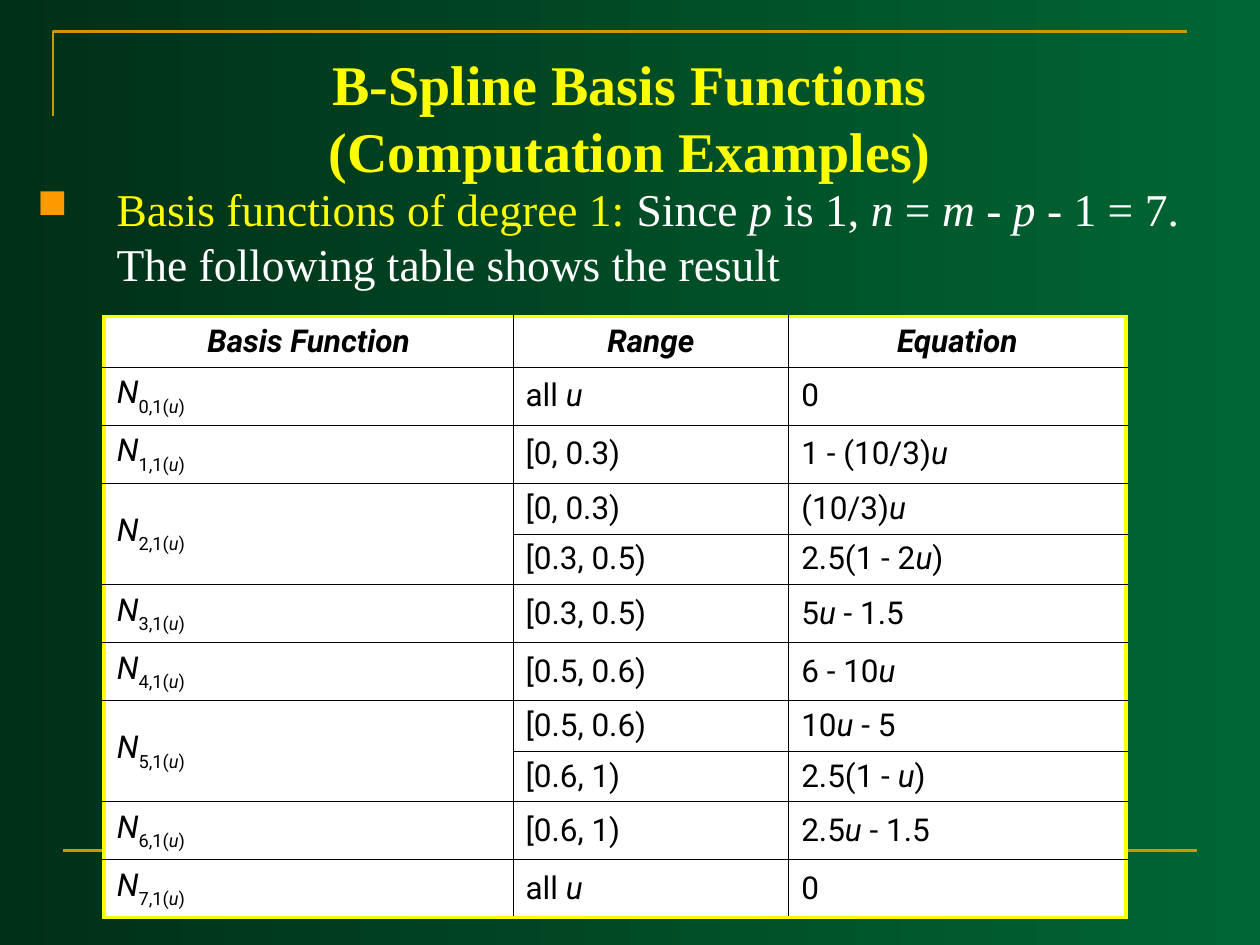
from lxml.etree import SubElement
from pptx import Presentation
from pptx.dml.color import RGBColor
from pptx.enum.shapes import MSO_CONNECTOR
from pptx.enum.text import MSO_ANCHOR, PP_ALIGN
from pptx.oxml.ns import qn
from pptx.util import Cm, Pt

SERIF, SANS = "Times New Roman", "Roboto"
GOLD, YELLOW, WHITE, BLACK = "CC9900", "FFFF00", "FFFFFF", "000000"
GROUPS = [
    [("all _u_", "0")],
    [("[0, 0.3)", "1 - (10/3)_u_")],
    [("[0, 0.3)", "(10/3)_u_"), ("[0.3, 0.5)", "2.5(1 - 2_u_)")],
    [("[0.3, 0.5)", "5_u_ - 1.5")],
    [("[0.5, 0.6)", "6 - 10_u_")],
    [("[0.5, 0.6)", "10_u_ - 5"), ("[0.6, 1)", "2.5(1 - _u_)")],
    [("[0.6, 1)", "2.5_u_ - 1.5")],
    [("all _u_", "0")],
]


def paint(target, color):
    target.rgb = RGBColor.from_string(color)


def style(run, face, size, color, bold=False, slant=False):
    font = run.font
    font.name, font.size, font.bold, font.italic = face, Pt(size), bold, slant
    paint(font.color, color)


def write(par, text, face, size, color, bold=False):
    for low, part in enumerate(text.split("~")):
        for odd, piece in enumerate(part.split("_")):
            if piece:
                run = par.add_run()
                run.text = piece
                style(run, face, size, color, bold, odd % 2 == 1)
                if low:
                    run.font._element.set("baseline", "-30000")


def hang(par, left):
    props = par._p.get_or_add_pPr()
    props.set("marL", str(Cm(left)))
    props.set("indent", str(-Cm(left)))
    return props


def add_box(slide, left, top, width, height):
    box = slide.shapes.add_textbox(Cm(left), Cm(top), Cm(width), Cm(height))
    box.text_frame.word_wrap = True
    return box.text_frame


def add_frame(slide, left, top, width, height):
    outline = slide.shapes.build_freeform(Cm(left), Cm(top + 1.7))
    outline.add_line_segments(
        [(Cm(left), Cm(top)), (Cm(left + width), Cm(top))], close=False)
    corner = outline.convert_to_shape()
    corner.shadow.inherit = False
    corner.fill.background()
    base = Cm(top + height)
    rule = slide.shapes.add_connector(
        MSO_CONNECTOR.STRAIGHT, Cm(left + 0.2), base, Cm(left + width + 0.2), base)
    SubElement(rule._element.spPr, qn("a:effectLst"))
    for shape in (corner, rule):
        paint(shape.line.color, GOLD) if shape is rule else shape.line.fill.solid()
        paint(shape.line.color, GOLD)
        shape.line.width = Pt(1.5)


def add_title(slide, left, top, width, height):
    frame = add_box(slide, left, top, width, height)
    frame.vertical_anchor = MSO_ANCHOR.MIDDLE
    par = frame.paragraphs[0]
    par.text = "B-Spline Basis Functions\n(Computation Examples)"
    par.alignment = PP_ALIGN.CENTER
    for run in par.runs:
        style(run, SERIF, 32, YELLOW, bold=True)


def add_body(slide, left, top, width, height):
    par = add_box(slide, left, top, width, height).paragraphs[0]
    par.space_before = Pt(6.5)
    props = hang(par, 1.6)
    tint = SubElement(props, qn("a:buClr"))
    SubElement(tint, qn("a:srgbClr")).set("val", "FF9900")
    SubElement(props, qn("a:buSzPct")).set("val", "90000")
    SubElement(props, qn("a:buChar")).set("char", "■")
    write(par, "Basis functions of degree 1:", SERIF, 26, YELLOW)
    write(par, " Since _p_ is 1, _n_ = _m - p_ - 1 = 7. The following table shows the result",
          SERIF, 26, WHITE)


def edge(cell, outer):
    props = cell._tc.get_or_add_tcPr()
    for side in "LRTB":
        color, width = (YELLOW, 2.21) if side in outer else (BLACK, 0.34)
        line = SubElement(props, qn("a:ln" + side))
        line.set("w", str(Pt(width)))
        fill = SubElement(line, qn("a:solidFill"))
        SubElement(fill, qn("a:srgbClr")).set("val", color)


def fill_cell(cell, text, outer, head=False):
    edge(cell, outer)
    cell.fill.solid()
    paint(cell.fill.fore_color, WHITE)
    cell.vertical_anchor = MSO_ANCHOR.MIDDLE
    par = cell.text_frame.paragraphs[0]
    hang(par, 0.97)
    if head:
        par.alignment = PP_ALIGN.CENTER
    write(par, text, SANS, 18, BLACK, bold=head)


def add_grid(slide, left, top, width, height):
    rows = [("_Basis Function_", "_Range_", "_Equation_")]
    sizes, spans = [1.02], []
    for index, group in enumerate(GROUPS):
        spans.append((len(rows), len(group)))
        for place, pair in enumerate(group):
            rows.append(("" if place else f"_N_~{index},1(_u_)", *pair))
            sizes.append(1.17 if len(group) == 1 else 1.02)
    grid = slide.shapes.add_table(
        len(rows), 3, Cm(left), Cm(top), Cm(width), Cm(height)).table
    grid.first_row = grid.horz_banding = False
    for col, share in zip(grid.columns, (0.4, 0.27, 0.33)):
        col.width = Cm(round(width * share, 2))
    last = len(rows) - 1
    for y, (row, size) in enumerate(zip(rows, sizes)):
        grid.rows[y].height = Cm(size)
        for x, text in enumerate(row):
            outer = {0: "L", 2: "R"}.get(x, "") + {0: "T", last: "B"}.get(y, "")
            fill_cell(grid.cell(y, x), text, outer, head=y == 0)
    for start, count in spans:
        if count > 1:
            grid.cell(start, 0).merge(grid.cell(start + count - 1, 0))


def main():
    deck = Presentation()
    deck.slide_width, deck.slide_height = Cm(25.4), Cm(19.05)
    slide = deck.slides.add_slide(deck.slide_layouts[6])
    back = slide.background.fill
    back.gradient()
    back.gradient_angle = 0
    for stop, color in zip(back.gradient_stops, ("002F18", "006633")):
        paint(stop.color, color)
    add_frame(slide, 1.07, 0.64, 22.86, 16.5)
    add_title(slide, 1.27, 0.76, 22.86, 3.18)
    add_body(slide, 0.5, 3.53, 24.9, 11.8)
    add_grid(slide, 2.1, 6.38, 20.6, 12.1)
    deck.save("out.pptx")


if __name__ == "__main__":
    main()
